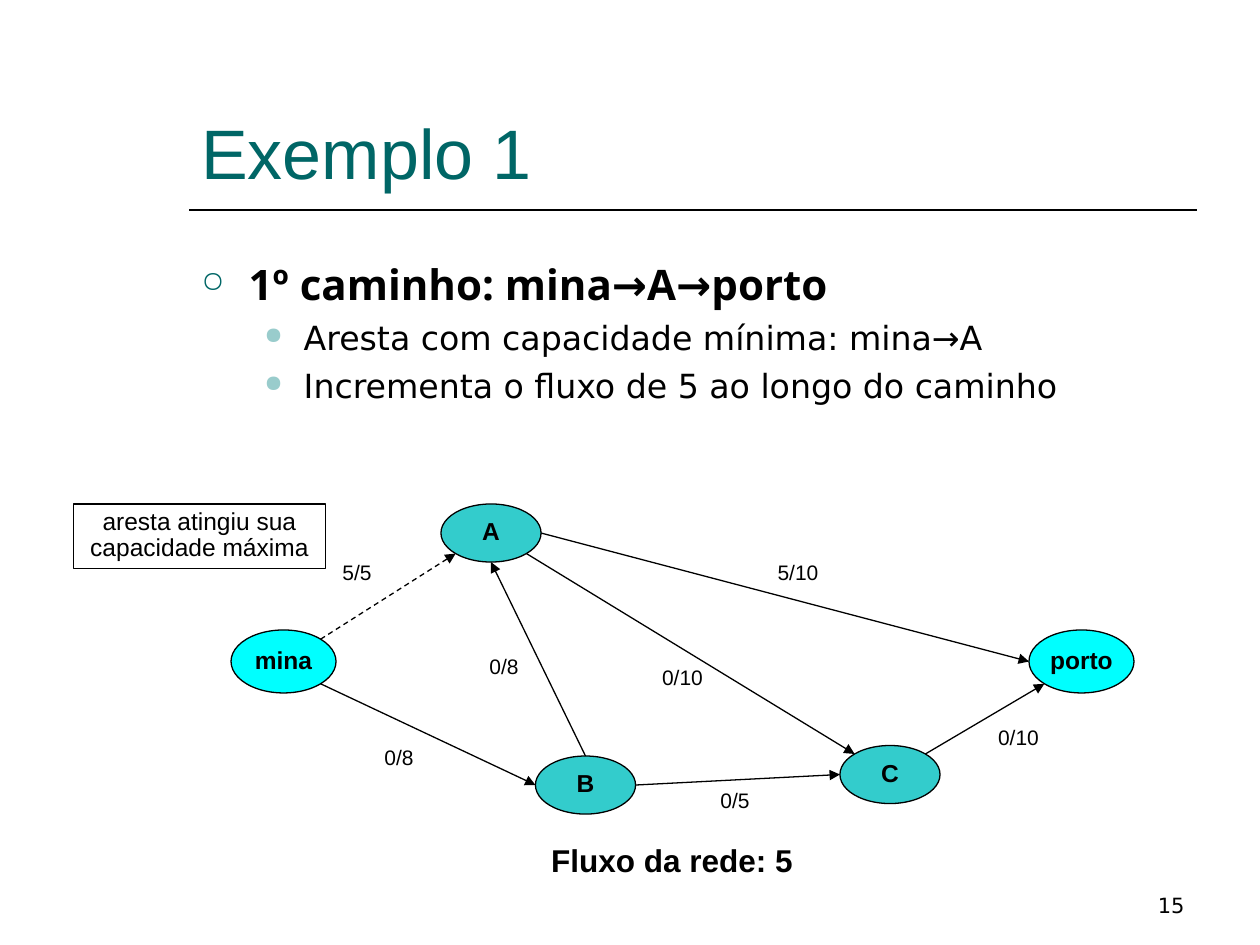
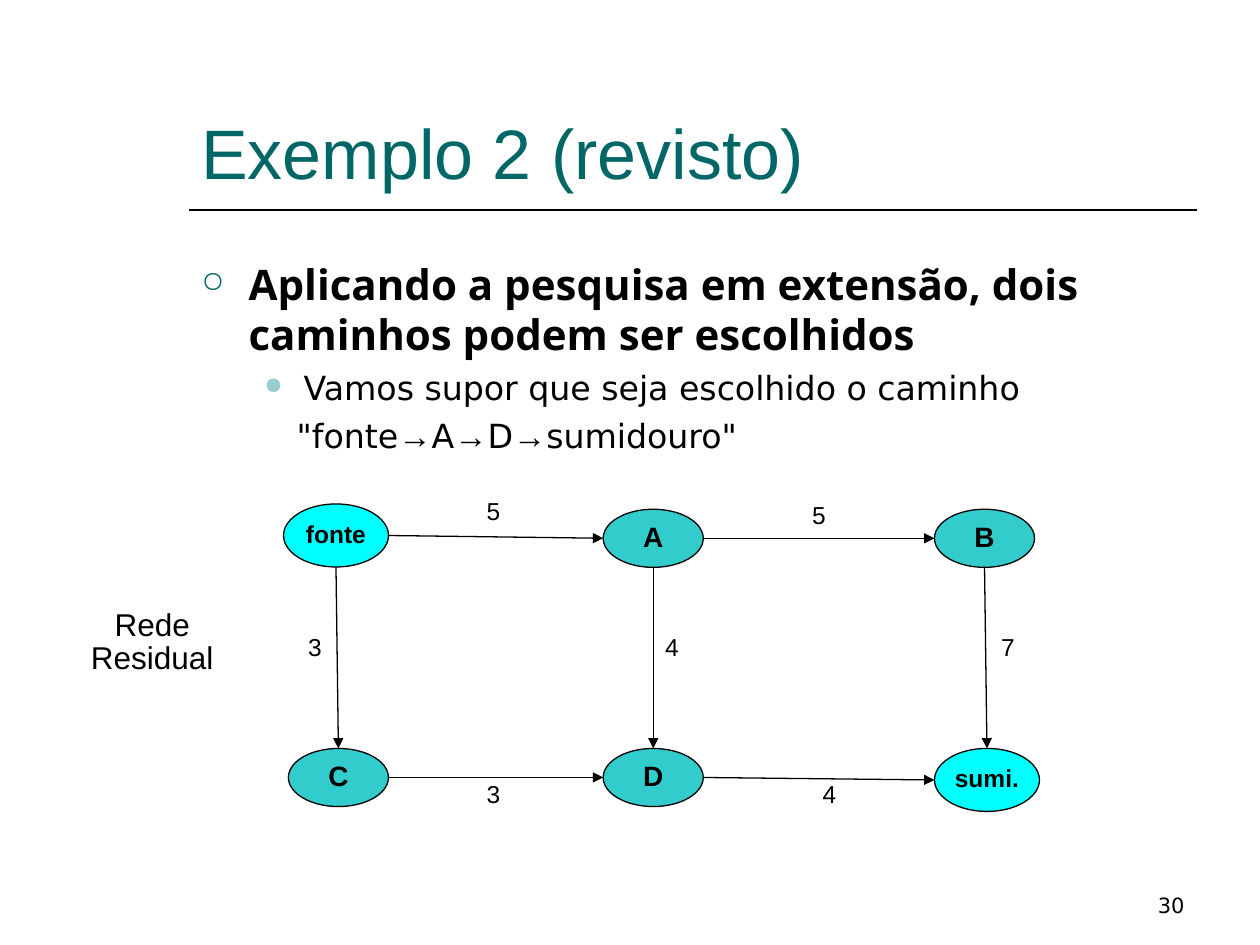
from math import sqrt

from lxml import etree
from pptx import Presentation
from pptx.dml.color import RGBColor
from pptx.enum.dml import MSO_LINE
from pptx.enum.shapes import MSO_CONNECTOR, MSO_SHAPE
from pptx.enum.text import MSO_ANCHOR as ANCHOR, MSO_AUTO_SIZE as AUTO, PP_ALIGN as ALIGN
from pptx.oxml.ns import qn
from pptx.util import Pt

COLORS = {
    "title": "006666",
    "bullet": "99CCCC",
    "text": "000000",
    "line": "000000",
    "terminal": "00FFFF",
    "inner": "33CCCC",
}
SANS, HEADING, BODY, ARROW = "Arial", "Noto Sans", "DejaVu Sans", "Times New Roman"
TERMINAL_SIZE = (60, 36)
INNER_SIZE = (57.2, 33.2)
DIAG = sqrt(0.5)
SIDES = {
    "n": (0, -1), "s": (0, 1), "w": (-1, 0), "e": (1, 0),
    "ne": (DIAG, -DIAG), "nw": (-DIAG, -DIAG),
    "se": (DIAG, DIAG), "sw": (-DIAG, DIAG),
}


def rgb(name):
    return RGBColor.from_string(COLORS[name])


def add_run(p, text, size, font=SANS, color="text", bold=False):
    r = p.add_run()
    r.text = text
    r.font.size, r.font.name, r.font.bold = Pt(size), font, bold
    r.font.color.rgb = rgb(color)


def add_text_frame(slide, x, y, w, h, anchor=ANCHOR.TOP):
    tf = slide.shapes.add_textbox(Pt(x), Pt(y), Pt(w), Pt(h)).text_frame
    tf.word_wrap = True
    tf.vertical_anchor = anchor
    return tf


def add_line(slide, start, end, width):
    line = slide.shapes.add_connector(
        MSO_CONNECTOR.STRAIGHT, *(Pt(v) for v in (*start, *end)))
    line.line.width = Pt(width)
    line.line.color.rgb = rgb("line")
    etree.SubElement(line._element.spPr, qn("a:effectLst"))
    return line


def add_frame(prs, title, number):
    """Add a slide with its title, rule and page number."""
    slide = prs.slides.add_slide(prs.slide_layouts[6])
    add_line(slide, (108, 120), (684, 120), 1)
    tf = add_text_frame(slide, 108, 24, 576, 90, ANCHOR.BOTTOM)
    add_run(tf.paragraphs[0], title, 40, color="title")
    tf = add_text_frame(slide, 516, 492, 168, 36, ANCHOR.BOTTOM)
    p = tf.paragraphs[0]
    p.alignment = ALIGN.RIGHT
    add_run(p, str(number), 12, BODY)
    return slide


def format_paragraph(p, before, margin, indent, bullet=None, color=None):
    p.space_before = Pt(before)
    pPr = p._p.get_or_add_pPr()
    pPr.set("marL", str(Pt(margin)))
    pPr.set("indent", str(Pt(indent)))
    if bullet:
        clr = etree.SubElement(pPr, qn("a:buClr"))
        etree.SubElement(clr, qn("a:srgbClr"), val=COLORS[color])
        etree.SubElement(pPr, qn("a:buSzPct"), val="70000")
        etree.SubElement(pPr, qn("a:buChar"), char=bullet)


def add_body(slide, height, heading, points):
    tf = add_text_frame(slide, 108, 144, 576, height)
    p = tf.paragraphs[0]
    format_paragraph(p, 6, 27, -27, "○", "title")
    add_run(p, heading, 24, HEADING, bold=True)
    for point in points:
        p = tf.add_paragraph()
        format_paragraph(p, 4.8, 58.5, -22.5, "●", "bullet")
        add_run(p, point, 19, BODY)
    return tf


def add_walk(tf, stops):
    """Add an indented line of stops joined by arrows."""
    p = tf.add_paragraph()
    format_paragraph(p, 4.8, 54.5, 0)
    for i, stop in enumerate(stops):
        if i:
            add_run(p, "→", 19, ARROW)
        add_run(p, stop, 19, BODY)


def write_centered(tf, text, size, bold=False, before=0):
    p = tf.paragraphs[0]
    p.alignment = ALIGN.CENTER
    p.line_spacing = 0.87
    p.space_before = Pt(before)
    add_run(p, text, size, bold=bold)


def add_label(slide, text, x, y, w, h, size, bold=False, border=False):
    sp = slide.shapes.add_shape(MSO_SHAPE.RECTANGLE, Pt(x), Pt(y), Pt(w), Pt(h)) \
        if border else slide.shapes.add_textbox(Pt(x), Pt(y), Pt(w), Pt(h))
    if border:
        sp.shadow.inherit = False
        sp.fill.background()
        sp.line.color.rgb = rgb("line")
        sp.line.width = Pt(0.75)
    tf = sp.text_frame
    tf.word_wrap = True
    tf.auto_size = AUTO.SHAPE_TO_FIT_TEXT
    tf.vertical_anchor = ANCHOR.TOP
    write_centered(tf, text, size, bold, before=size * 0.625)


def add_node(slide, name, kind, x, y, size):
    w, h = TERMINAL_SIZE if kind == "terminal" else INNER_SIZE
    sp = slide.shapes.add_shape(MSO_SHAPE.OVAL, Pt(x), Pt(y), Pt(w), Pt(h))
    sp.shadow.inherit = False
    sp.fill.solid()
    sp.fill.fore_color.rgb = rgb(kind)
    sp.line.color.rgb = rgb("line")
    sp.line.width = Pt(0.75)
    tf = sp.text_frame
    tf.word_wrap = False
    tf.vertical_anchor = ANCHOR.MIDDLE
    write_centered(tf, name, size, bold=True)
    return sp


def rim_point(node, side):
    """Return the point, in points, where a side meets the ellipse's rim."""
    dx, dy = SIDES[side]
    rx, ry = node.width.pt / 2, node.height.pt / 2
    return node.left.pt + rx * (1 + dx), node.top.pt + ry * (1 + dy)


def add_arrow(slide, start, end, dashed=False):
    arrow = add_line(slide, start, end, 0.75)
    if dashed:
        arrow.line.dash_style = MSO_LINE.DASH
    etree.SubElement(arrow.line._get_or_add_ln(), qn("a:tailEnd"), type="triangle")


def add_network(slide, nodes, edges, inner_size, label_size, saturated=()):
    """Draw nodes and labelled edges; saturated edges are dashed."""
    ovals = {}
    for name, kind, x, y in nodes:
        size = 14 if kind == "terminal" else inner_size
        ovals[name] = add_node(slide, name, kind, x, y, size)
    for tail, tail_side, head, head_side, flow, x, y in edges:
        add_arrow(slide, rim_point(ovals[tail], tail_side),
                  rim_point(ovals[head], head_side), (tail, head) in saturated)
        add_label(slide, flow, x, y, 48, label_size + 8.2, label_size)


def add_first_path(prs):
    slide = add_frame(prs, "Exemplo 1", 15)
    add_body(slide, 108, "1º caminho: mina→A→porto", [
        "Aresta com capacidade mínima: mina→A",
        "Incrementa o fluxo de 5 ao longo do caminho",
    ])
    nodes = [
        ("mina", "terminal", 132, 360),
        ("porto", "terminal", 588, 360),
        ("A", "inner", 252, 288),
        ("B", "inner", 306, 432),
        ("C", "inner", 480, 426),
    ]
    edges = [
        ("mina", "se", "B", "w", "0/8", 204, 424),
        ("B", "n", "A", "s", "0/8", 264, 372),
        ("mina", "ne", "A", "sw", "5/5", 180, 318),
        ("B", "e", "C", "w", "0/5", 396, 448.6),
        ("C", "ne", "porto", "sw", "0/10", 558, 412.6),
        ("A", "se", "C", "nw", "0/10", 366, 378),
        ("A", "e", "porto", "w", "5/10", 432, 318),
    ]
    add_network(slide, nodes, edges, 14, 12, saturated={("mina", "A")})
    add_label(slide, "Fluxo da rede: 5", 252, 480, 264, 26, 18, bold=True)
    add_label(slide, "aresta atingiu sua capacidade máxima",
              42, 288, 144, 36.7, 14, border=True)


def add_residual_network(prs):
    slide = add_frame(prs, "Exemplo 2 (revisto)", 30)
    tf = add_body(
        slide, 156,
        "Aplicando a pesquisa em extensão, dois caminhos podem ser escolhidos",
        ["Vamos supor que seja escolhido o caminho"])
    add_walk(tf, ['"fonte', "A", "D", 'sumidouro"'])
    top, bottom = 291, 427.7
    nodes = [
        ("fonte", "terminal", 162, 288),
        ("sumi.", "terminal", 534, bottom),
        ("A", "inner", 344.7, top),
        ("B", "inner", 534, top),
        ("C", "inner", 164.8, bottom),
        ("D", "inner", 344.7, bottom),
    ]
    edges = [
        ("fonte", "e", "A", "w", "5", 258, 282),
        ("A", "e", "B", "w", "5", 444, 284.5),
        ("C", "e", "D", "w", "3", 258, 444),
        ("D", "e", "sumi.", "w", "4", 450, 444),
        ("fonte", "s", "C", "n", "3", 156, 360),
        ("A", "s", "D", "n", "4", 360, 360),
        ("B", "s", "sumi.", "n", "7", 552, 360),
    ]
    add_network(slide, nodes, edges, 16, 14)
    add_label(slide, "Rede Residual", 42, 345, 90, 44.6, 18)


def main():
    prs = Presentation()
    prs.slide_width, prs.slide_height = Pt(720), Pt(540)
    add_first_path(prs)
    add_residual_network(prs)
    prs.save("out.pptx")


if __name__ == "__main__":
    main()
